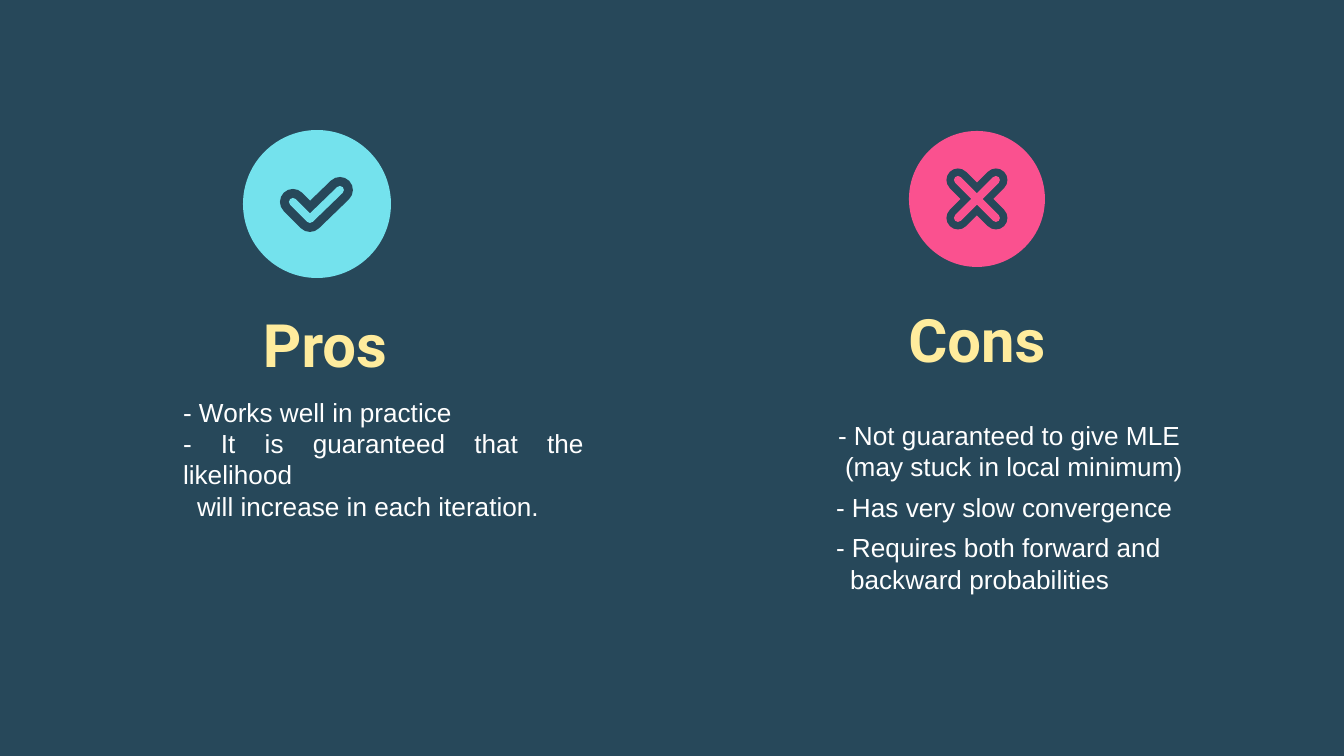
import lxml.etree
import pptx
import pptx.dml.color
import pptx.enum.shapes
import pptx.enum.text
import pptx.oxml.ns
import pptx.util

COLORS = {
    "background": "27485A",
    "heading": "FFEC9D",
    "text": "FFFFFF",
    "pros": "74E2ED",
    "cons": "FA518F",
}
SLIDE_WIDTH, SLIDE_HEIGHT = 1344, 756
SCALE = 9144000 / SLIDE_WIDTH
LINE_HEIGHT = 1.2


class SlideBuilder:
    def __init__(self, deck):
        deck.slide_width = self.emu(SLIDE_WIDTH)
        deck.slide_height = self.emu(SLIDE_HEIGHT)
        self.page = deck.slides.add_slide(deck.slide_layouts[4])
        title = self.page.shapes.title.element
        title.getparent().remove(title)
        fill = self.page.background.fill
        fill.solid()
        fill.fore_color.rgb = self.color("background")

    def emu(self, px):
        return pptx.util.Emu(round(px * SCALE))

    def color(self, name):
        return pptx.dml.color.RGBColor.from_string(COLORS[name])

    def fill_placeholder(self, index, bounds, inset, lines):
        box = self.page.placeholders[index]
        box.left, box.top, box.width, box.height = map(self.emu, bounds)
        frame = box.text_frame
        frame.text = "\n".join(line[0] for line in lines)
        frame.word_wrap = True
        frame.auto_size = pptx.enum.text.MSO_AUTO_SIZE.NONE
        frame.vertical_anchor = pptx.enum.text.MSO_ANCHOR.TOP
        frame.margin_left = frame.margin_right = self.emu(13)
        frame.margin_top = frame.margin_bottom = self.emu(inset)
        return frame.paragraphs

    def format_paragraph(self, para, font, size, color, align, indent, before=0, bold=False):
        properties = para._p.get_or_add_pPr()
        properties.set("marL", str(self.emu(indent)))
        properties.set("indent", "0")
        lxml.etree.SubElement(properties, pptx.oxml.ns.qn("a:buNone"))
        para.alignment = align
        para.line_spacing = pptx.util.Pt(round(size * LINE_HEIGHT, 1))
        para.space_before = pptx.util.Pt(before)
        for span in para.runs:
            span.font.name = font
            span.font.size = pptx.util.Pt(size)
            span.font.bold = bold
            span.font.color.rgb = self.color(color)

    def heading(self, index, left, top, text):
        para = self.fill_placeholder(index, (left, top, 384, 83), 13, [(text,)])[0]
        center = pptx.enum.text.PP_ALIGN.CENTER
        self.format_paragraph(para, "Roboto", 32, "heading", center, 16, bold=True)

    def points(self, index, bounds, align, lines):
        paragraphs = self.fill_placeholder(index, bounds, 7, lines)
        for para, (_, indent, before) in zip(paragraphs, lines):
            self.format_paragraph(para, "Arial", 14, "text", align, indent, before)

    def disc(self, center_x, center_y, diameter, color):
        radius = diameter / 2
        circle = self.page.shapes.add_shape(
            pptx.enum.shapes.MSO_SHAPE.OVAL,
            *map(self.emu, (center_x - radius, center_y - radius, diameter, diameter)),
        )
        circle.shadow.inherit = False
        circle.fill.solid()
        circle.fill.fore_color.rgb = self.color(color)
        circle.line.fill.background()

    def stroke(self, strands, width, color):
        builder = self.page.shapes.build_freeform(*strands[0][0], scale=SCALE)
        builder.add_line_segments(strands[0][1:], close=False)
        for strand in strands[1:]:
            builder.move_to(*strand[0])
            builder.add_line_segments(strand[1:], close=False)
        shape = builder.convert_to_shape()
        shape.shadow.inherit = False
        shape.fill.background()
        shape.line.width = self.emu(width)
        shape.line.color.rgb = self.color(color)
        line = shape.line._get_or_add_ln()
        line.set("cap", "rnd")
        lxml.etree.SubElement(line, pptx.oxml.ns.qn("a:round"))

    def symbol(self, strands, outer, inner, color):
        self.stroke(strands, outer, "background")
        self.stroke(strands, inner, color)


def main():
    deck = pptx.Presentation()
    slide = SlideBuilder(deck)
    align = pptx.enum.text.PP_ALIGN

    slide.heading(1, 125, 295, "Pros")
    slide.points(2, (170, 389, 427, 172), align.JUSTIFY, [
        ("- Works well in practice", 0, 0),
        ("- It is guaranteed that the likelihood", 0, 0),
        ("will increase in each iteration.", 14, 0),
    ])
    slide.heading(3, 777, 290, "Cons")
    slide.points(4, (823, 412, 375, 189), align.LEFT, [
        ("- Not guaranteed to give MLE", 2, 0),
        ("(may stuck in local minimum)", 9, 0),
        ("- Has very slow convergence", 0, 5),
        ("- Requires both forward and", 0, 5),
        ("backward probabilities", 14, 0),
    ])

    slide.disc(317, 204, 148, "pros")
    check = [[(293, 202), (310, 219), (340, 190)]]
    slide.symbol(check, 26, 8, "pros")

    slide.disc(977, 199, 136, "cons")
    cross = [
        [(977 - 19, 199 - side), (977 + 19, 199 + side)]
        for side in (19, -19)
    ]
    slide.symbol(cross, 23, 8, "cons")

    deck.save("out.pptx")


if __name__ == "__main__":
    main()
